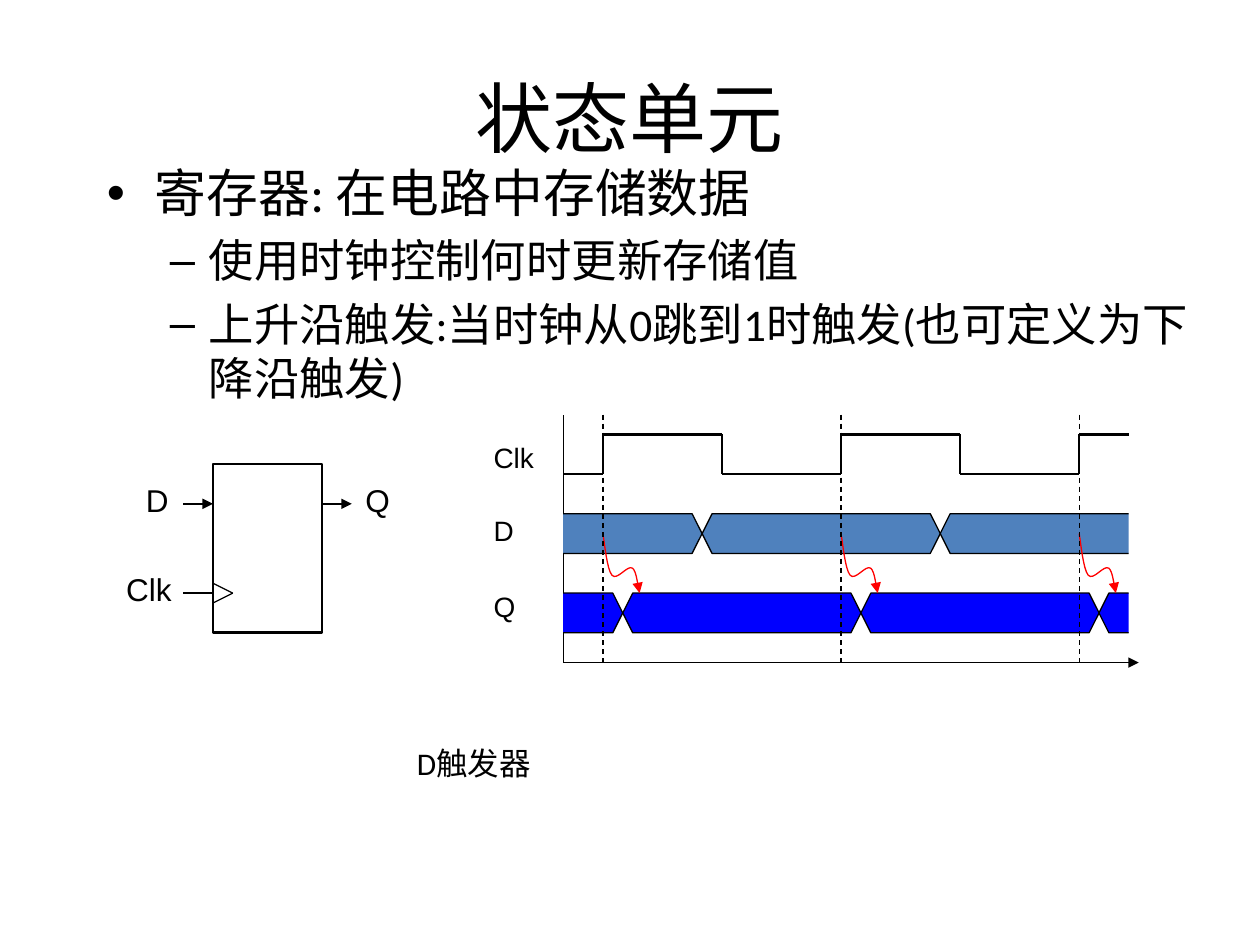
from dataclasses import dataclass
from itertools import pairwise

from pptx import Presentation
from pptx.dml.color import RGBColor
from pptx.enum.dml import MSO_LINE_DASH_STYLE as Dash
from pptx.enum.shapes import MSO_CONNECTOR, MSO_SHAPE
from pptx.enum.text import MSO_ANCHOR, PP_ALIGN
from pptx.oxml.ns import qn
from pptx.util import Inches, Pt
from lxml.etree import SubElement

COLORS = {"ink": "000000", "data": "4F81BD", "output": "0000FF", "cause": "FF0000"}
UNIT = 0.1575
TOP = 3.29
PERIOD = 12
END = 28.5
Point = tuple[float, float]


@dataclass
class Grid:
    left: float

    def at(self, col: float, row: float) -> Point:
        return self.left + col * UNIT, TOP + row * UNIT


@dataclass
class Label:
    text: str
    grid: Grid
    col: float
    row: float
    size: float


@dataclass
class Wire:
    grid: Grid
    start: Point
    end: Point
    width: float = 0.75
    arrow: bool = False
    dash: bool = False


@dataclass
class Bus:
    row: float
    crossings: list[float]
    color: str


@dataclass
class Bullet:
    text: str
    mark: str
    level: int
    size: float
    margin: float
    hang: float


SYMBOL = Grid(1.69)
TIMING = Grid(4.47)
EDGES = [2 + PERIOD * i for i in range(3)]

BULLETS = [
    Bullet("寄存器: 在电路中存储数据", "•", 0, 29.6, 0.38, 0.38),
    Bullet("使用时钟控制何时更新存储值", "–", 1, 25.9, 0.81, 0.31),
    Bullet("上升沿触发:当时钟从0跳到1时触发(也可定义为下降沿触发)".replace("发:", "发:")
           .replace("(", "(").replace(")", ")"), "–", 1, 25.9, 0.81, 0.31),
]
LABELS = [
    Label("D", SYMBOL, -4, 3.05, 18),
    Label("Clk", SYMBOL, -5, 7.5, 18),
    Label("Q", SYMBOL, 7.05, 3.05, 18),
    Label("Clk", TIMING, -4.13, 1, 16),
    Label("D", TIMING, -4.13, 4.7, 16),
    Label("Q", TIMING, -4.13, 8.5, 16),
]
BUSES = [
    Bus(5, [7, 7 + PERIOD], "data"),
    Bus(9, [edge + 1 for edge in EDGES], "output"),
]
CLOCK = [(0, 3)]
for edge in EDGES:
    CLOCK += [(edge, 3), (edge, 1), (edge + 6, 1), (edge + 6, 3)]
CLOCK = CLOCK[:-2] + [(END, 1)]

WIRES = [
    Wire(SYMBOL, (-1.5, 4.5), (0, 4.5), 1, arrow=True),
    Wire(SYMBOL, (5.5, 4.5), (7, 4.5), 1, arrow=True),
    Wire(SYMBOL, (-1.5, 9), (0, 9)),
    Wire(SYMBOL, (0, 8.5), (1, 9)),
    Wire(SYMBOL, (0, 9.5), (1, 9)),
    *(Wire(TIMING, a, b, 1.5) for a, b in pairwise(CLOCK)),
    Wire(TIMING, (0, 12.5), (29, 12.5), arrow=True),
    Wire(TIMING, (0, 12.5), (0, 0)),
]
GUIDES = [Wire(TIMING, (edge, 0), (edge, 12.5), dash=True) for edge in EDGES]
CURVES = [
    [(0, 6), (0.08, 6.4), (0.2, 7.8), (0.46, 8.1)],
    [(0.46, 8.1), (0.72, 8.4), (1.25, 7.55), (1.5, 7.75)],
    [(1.5, 7.75), (1.7, 7.9), (1.77, 8.7), (1.85, 9)],
]


def rgb(name: str) -> RGBColor:
    return RGBColor.from_string(COLORS[name])


def set_line(s, width: float, color: str = "ink", arrow: bool = False) -> None:
    s.line.width = Pt(width)
    s.line.color.rgb = rgb(color)
    if arrow:
        SubElement(s.line._get_or_add_ln(), qn("a:tailEnd"), type="triangle")


def add_run(p, text: str, *, size: float, font: str) -> None:
    r = p.add_run()
    r.text = text
    r.font.size, r.font.name = Pt(size), font
    r.font.color.rgb = rgb("ink")


def add_text(text: str, x: float, y: float, w: float, h: float, *, size: float = 18,
             font: str = "Calibri", align=PP_ALIGN.LEFT, anchor=MSO_ANCHOR.TOP,
             wrap: bool = True):
    tf = slide.shapes.add_textbox(*map(Inches, (x, y, w, h))).text_frame
    tf.word_wrap, tf.vertical_anchor = wrap, anchor
    tf.paragraphs[0].alignment = align
    if text:
        add_run(tf.paragraphs[0], text, size=size, font=font)
    return tf


def add_bullets(items: list[Bullet]) -> None:
    tf = add_text("", 0.75, 1.23, 9.05, 1.97)
    for i, item in enumerate(items):
        p = tf.add_paragraph() if i else tf.paragraphs[0]
        p.level = item.level
        p.space_before = Pt(item.size * 0.2)
        pPr = p._p.get_or_add_pPr()
        pPr.set("marL", str(Inches(item.margin)))
        pPr.set("indent", str(-Inches(item.hang)))
        SubElement(pPr, qn("a:buFont"), typeface="Arial")
        SubElement(pPr, qn("a:buChar"), char=item.mark)
        add_run(p, item.text, size=item.size, font="Calibri")


def add_wire(wire: Wire) -> None:
    ends = (*wire.grid.at(*wire.start), *wire.grid.at(*wire.end))
    s = slide.shapes.add_connector(MSO_CONNECTOR.STRAIGHT, *map(Inches, ends))
    set_line(s, wire.width, arrow=wire.arrow)
    if wire.dash:
        s.line.dash_style = Dash.DASH
    SubElement(s._element.spPr, qn("a:effectLst"))


def add_outline(points: list[Point], closed: bool = False):
    first, *rest = [tuple(map(Inches, TIMING.at(*pt))) for pt in points]
    builder = slide.shapes.build_freeform(*first)
    builder.add_line_segments(rest, close=closed)
    s = builder.convert_to_shape()
    s.shadow.inherit = False
    return s


def add_bus(bus: Bus) -> None:
    top, mid, low = bus.row, bus.row + 1, bus.row + 2
    for a, b in pairwise([0, *bus.crossings, END]):
        left = [(a + 0.5, low), (a, mid), (a + 0.5, top)] if a else [(0, low), (0, top)]
        right = [(b - 0.5, top), (b, mid), (b - 0.5, low)] if b < END else [(END, top), (END, low)]
        if not a:
            points = left[1:] + right + left[:1]
        elif b == END:
            points = right[1:] + left + right[:1]
        else:
            points = left + right
        s = add_outline(points, closed=bool(a) and b < END)
        s.fill.solid()
        s.fill.fore_color.rgb = rgb(bus.color)
        set_line(s, 0.75)


def bezier(controls: list[Point], t: float) -> Point:
    weights = ((1 - t) ** 3, 3 * t * (1 - t) ** 2, 3 * t * t * (1 - t), t ** 3)
    x, y = (sum(w * v for w, v in zip(weights, axis)) for axis in zip(*controls))
    return x, y


def add_cause(edge: float) -> None:
    path = [bezier(curve, i / 8) for curve in CURVES for i in range(9)]
    s = add_outline([(edge + x, y) for x, y in path])
    s.fill.background()
    set_line(s, 0.75, "cause", arrow=True)


prs = Presentation()
prs.slide_width, prs.slide_height = Inches(10), Inches(7.5)
slide = prs.slides.add_slide(prs.slide_layouts[6])

add_text("状态单元", 0.5, 0.3, 9, 1.25, size=44, align=PP_ALIGN.CENTER, anchor=MSO_ANCHOR.MIDDLE)
add_bullets(BULLETS)
x, y = SYMBOL.at(0, 2.5)
box = slide.shapes.add_shape(MSO_SHAPE.RECTANGLE, *map(Inches, (x, y, 5.5 * UNIT, 8.5 * UNIT)))
box.shadow.inherit = False
box.fill.background()
set_line(box, 1.5)
for wire in WIRES:
    add_wire(wire)
for label in LABELS:
    add_text(label.text, *label.grid.at(label.col, label.row), 0.2 + 0.12 * len(label.text), 0.4,
             size=label.size, font="Arial", wrap=False)
for bus in BUSES:
    add_bus(bus)
for edge in EDGES:
    add_cause(edge)
for guide in GUIDES:
    add_wire(guide)
add_text("D触发器", 3.21, 5.86, 2.14, 0.4)
prs.save("out.pptx")
